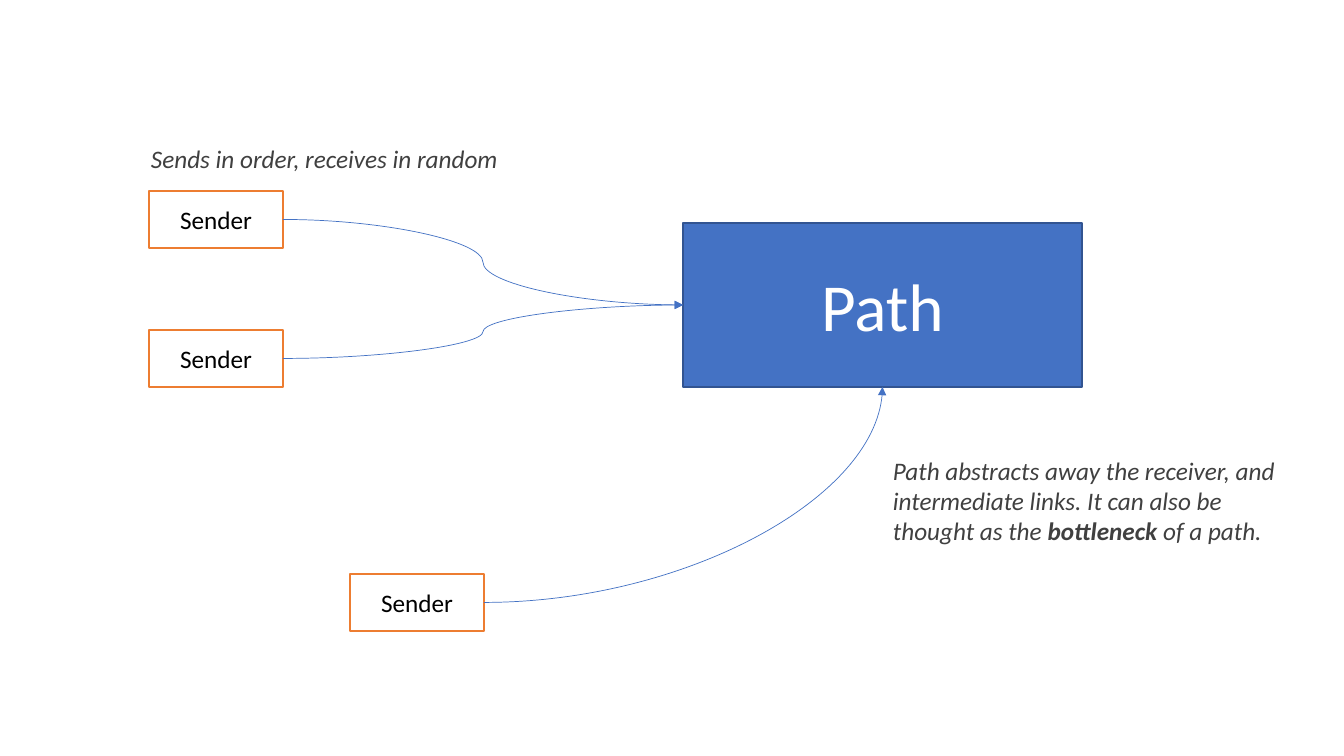
from pptx import Presentation
from pptx.dml.color import RGBColor
from pptx.enum.shapes import MSO_CONNECTOR as Conn, MSO_SHAPE as Shape
from pptx.enum.text import MSO_ANCHOR as Anchor, PP_ALIGN as Align
from pptx.oxml.ns import qn
from pptx.util import Pt
from lxml.etree import SubElement

PX = 914400 / 100.8
COLORS = {"blue": "4472C4", "navy": "325491", "orange": "ED7D31",
          "white": "FFFFFF", "black": "000000", "grey": "404040"}
TOP, LEFT, BOTTOM, RIGHT = range(4)  # connection sites of a rectangle


def emu(*px):
    return [round(n * PX) for n in px]


def color(name):
    return RGBColor.from_string(COLORS[name])


def style(para, size, ink, italic=False):
    font = para.font
    font.name, font.size, font.italic = "Calibri", Pt(size), italic
    font.color.rgb = color(ink)


def node(slide, box, text, size, fill, edge, ink):
    """Draw a labelled rectangle."""
    rect = slide.shapes.add_shape(Shape.RECTANGLE, *emu(*box))
    rect.shadow.inherit = False
    rect.fill.solid()
    rect.fill.fore_color.rgb = color(fill)
    rect.line.color.rgb = color(edge)
    rect.line.width = Pt(1)
    frame = rect.text_frame
    frame.vertical_anchor = Anchor.MIDDLE
    para = frame.paragraphs[0]
    para.text = text
    para.alignment = Align.CENTER
    style(para, size, ink)
    return rect


def sender(slide, left, top):
    return node(slide, (left, top, 134, 57), "Sender", 18,
                "white", "orange", "black")


def arrow(slide, start, end, site, bends):
    """Curve from the right side of start to a site of end."""
    line = slide.shapes.add_connector(Conn.CURVE, 0, 0, 0, 0)
    line.begin_connect(start, RIGHT)
    line.end_connect(end, site)
    line.line.color.rgb = color("blue")
    line.line.width = Pt(0.5)
    props = line._element.spPr
    props.find(qn("a:prstGeom")).set("prst", f"curvedConnector{bends}")
    SubElement(line.line._get_or_add_ln(), qn("a:tailEnd"), type="triangle")
    SubElement(props, qn("a:effectLst"))


def note(slide, box, *parts):
    """Write an italic remark from (text, bold) parts."""
    frame = slide.shapes.add_textbox(*emu(*box)).text_frame
    frame.word_wrap = True
    para = frame.paragraphs[0]
    style(para, 18, "grey", italic=True)
    for text, bold in parts:
        run = para.add_run()
        run.text = text
        run.font.bold = bold


def diagram(slide):
    hub = node(slide, (683, 223, 399, 164), "Path", 48,
               "blue", "navy", "white")
    upper, lower, base = [sender(slide, *spot) for spot in
                          ((149, 191), (149, 330), (350, 574))]
    arrow(slide, base, hub, BOTTOM, 2)
    arrow(slide, upper, hub, LEFT, 3)
    arrow(slide, lower, hub, LEFT, 3)
    note(slide, (883, 450, 416, 102),
         ("Path abstracts away the receiver, and intermediate links. "
          "It can also be thought as the ", False),
         ("bottleneck", True), (" of a path.", False))
    note(slide, (141, 138, 416, 40),
         ("Sends in order, receives in random", False))


def main():
    deck = Presentation()
    deck.slide_width, deck.slide_height = emu(1344, 756)
    diagram(deck.slides.add_slide(deck.slide_layouts[6]))
    deck.save("out.pptx")


if __name__ == "__main__":
    main()
